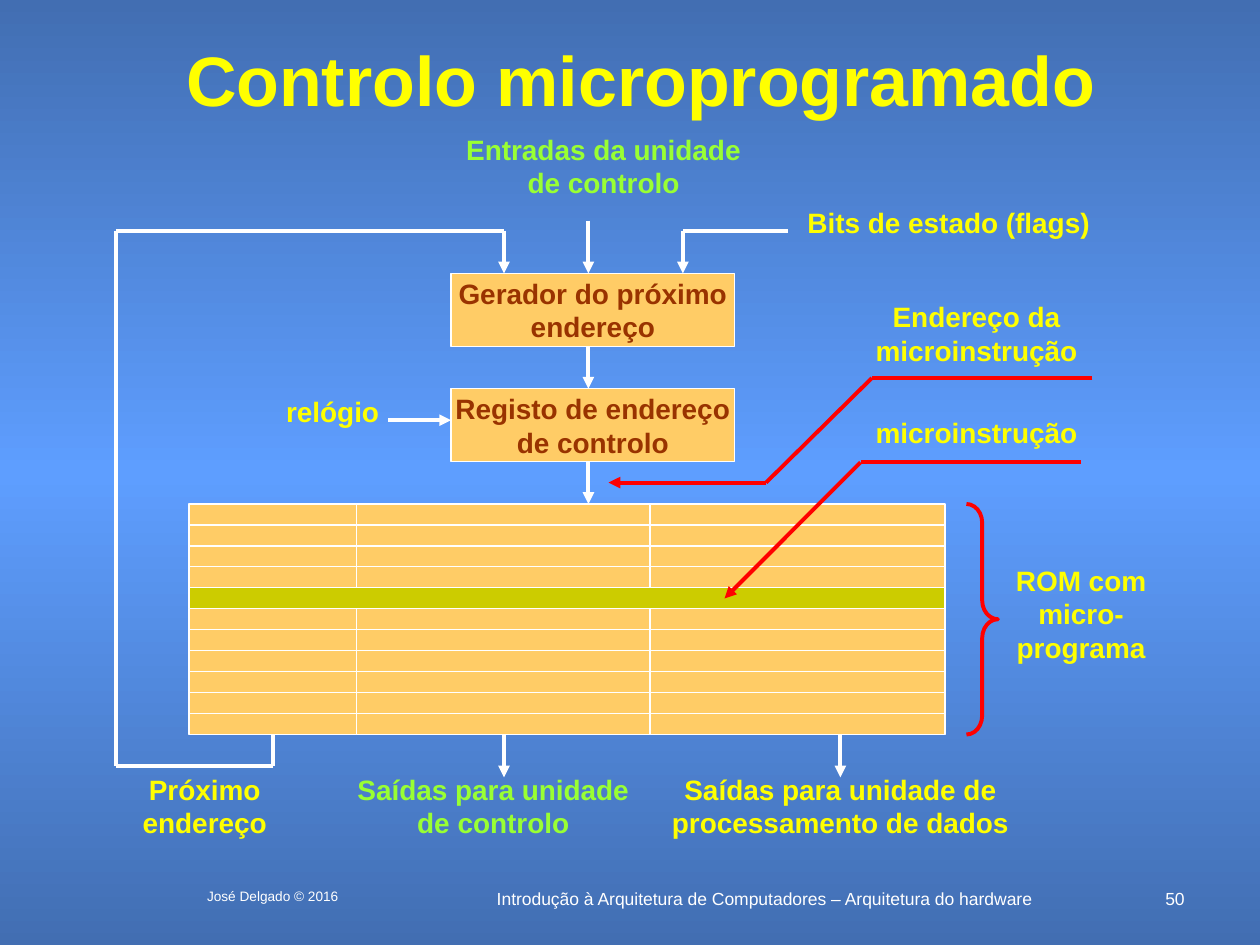
from copy import deepcopy
from dataclasses import dataclass

from lxml import etree
from pptx import Presentation
from pptx.dml.color import RGBColor
from pptx.enum import shapes, text
from pptx.oxml.ns import qn
from pptx.util import Inches, Pt


@dataclass(frozen=True)
class Theme:
    """Colours, type sizes and line widths of the slide."""
    font: str = "Arial"
    edge: str = "426EB2"
    glow: str = "5E9EFF"
    white: str = "FFFFFF"
    yellow: str = "FFFF00"
    green: str = "99FF33"
    brown: str = "993300"
    orange: str = "FFCC66"
    olive: str = "CCCC00"
    red: str = "FF0000"
    title: float = 40
    label: float = 16
    footer: float = 10
    credit: float = 7.8
    thin: float = 0.75
    thick: float = 2.25


T = Theme()
ALIGN = text.PP_ALIGN
ANCHOR = text.MSO_ANCHOR


def rgb(value):
    """Return a colour from its hex value."""
    return RGBColor.from_string(value)


def write(sp, lines, color, size=T.label, bold=True, align=ALIGN.CENTER,
          anchor=ANCHOR.TOP, wrap=True):
    """Write one paragraph per line into a shape."""
    tf = sp.text_frame
    frame = dict(word_wrap=wrap, vertical_anchor=anchor,
                 margin_left=Inches(0.1), margin_right=Inches(0.1),
                 margin_top=Inches(0.05), margin_bottom=Inches(0.05))
    for name, value in frame.items():
        setattr(tf, name, value)
    for i, line in enumerate(lines):
        p = tf.paragraphs[0] if i == 0 else tf.add_paragraph()
        p.alignment = align
        r = p.add_run()
        r.text = line
        for name, value in dict(name=T.font, size=Pt(size), bold=bold).items():
            setattr(r.font, name, value)
        r.font.color.rgb = rgb(color)


def label(s, box, *lines, color=T.yellow, **style):
    """Add a text box."""
    write(s.shapes.add_textbox(*map(Inches, box)), lines, color, **style)


def block(s, box, *lines, fill=T.orange):
    """Add a filled, outlined rectangle with optional text."""
    sp = s.shapes.add_shape(shapes.MSO_SHAPE.RECTANGLE, *map(Inches, box))
    sp.shadow.inherit = False
    sp.fill.solid()
    sp.fill.fore_color.rgb = rgb(fill)
    sp.line.color.rgb = rgb(T.white)
    sp.line.width = Pt(T.thin)
    if lines:
        write(sp, lines, T.brown, anchor=ANCHOR.MIDDLE, wrap=False)


def route(s, *points, color=T.white, width=T.thick, arrow=True):
    """Join points with straight lines, with an arrowhead at the last point."""
    for i, (a, b) in enumerate(zip(points, points[1:]), 2):
        c = s.shapes.add_connector(shapes.MSO_CONNECTOR.STRAIGHT,
                                   *map(Inches, (*a, *b)))
        c.line.color.rgb = rgb(color)
        c.line.width = Pt(width)
        if arrow and i == len(points):
            etree.SubElement(c.line._get_or_add_ln(), qn("a:tailEnd"), type="triangle")
        etree.SubElement(c._element.spPr, qn("a:effectLst"))


def background(s):
    """Fill the background with a vertical three-stop gradient."""
    fill = s.background.fill
    fill.gradient()
    fill.gradient_angle = 270
    stops = s.element.xpath(".//a:gsLst")[0]
    stops.insert(1, deepcopy(stops[0]))
    for stop, color, pos in zip(fill.gradient_stops, (T.edge, T.glow, T.edge), (0, 0.5, 1)):
        stop.color.rgb = rgb(color)
        stop.position = pos


def inputs(s, box):
    """Draw the control unit inputs and status bits above the generator."""
    x, y, w, h = box
    label(s, (x, y, 2.58, 0.64), "Entradas da unidade de controlo", color=T.green)
    label(s, (x + 2.81, y + 0.58, 2.44, 0.37), "Bits de estado (flags)", wrap=False)
    route(s, (x + 1.17, y + 0.75), (x + 1.17, y + h))
    route(s, (x + 2.75, y + 0.83), (x + 1.92, y + 0.83), (x + 1.92, y + h))


def sequencer(s, box):
    """Draw the address generator and the register with its clock."""
    x, y, w, h = box
    step, height, mid = h / 2, 0.58, x + 1.09
    names = (("Gerador do próximo", "endereço"), ("Registo de endereço", "de controlo"))
    for i, lines in enumerate(names):
        top = y + i * step
        block(s, (x, top, w, height), *lines)
        route(s, (mid, top + height), (mid, top + step))
    label(s, (x - 1.41, y + step, 0.94, 0.37), "relógio", wrap=False)
    route(s, (x - 0.5, y + step + 0.25), (x, y + step + 0.25))


def rom(s, box, rows=11, marked=4):
    """Draw the microprogram memory grid, its marked row and its brace."""
    x, y, w, h = box
    pitch, left = h / rows, x
    for width in (1.33, 2.33, 2.34):
        block(s, (left, y, width, h))
        left += width
    for i in range(1, rows):
        route(s, (x, y + i * pitch), (x + w, y + i * pitch), width=T.thin, arrow=False)
    block(s, (x, y + marked * pitch, w, pitch), fill=T.olive)
    brace = s.shapes.add_shape(shapes.MSO_SHAPE.RIGHT_BRACE,
                               *map(Inches, (x + w + 0.17, y, 0.25, h)))
    brace.shadow.inherit = False
    brace.fill.background()
    brace.line.color.rgb = rgb(T.red)
    brace.line.width = Pt(T.thick)
    brace.adjustments[0] = 0.6
    label(s, (x + w + 0.42, y + 0.42, 1.32, 0.9), "ROM com micro-", "programa")


def outputs(s, box):
    """Draw the three memory outputs and the next-address feedback path."""
    x, y, w, h = box
    fields = ((0, 1.25, "Próximo endereço", T.yellow),
              (1.58, 2.67, "Saídas para unidade de controlo", T.green),
              (3.92, 3.5, "Saídas para unidade de processamento de dados", T.yellow))
    for dx, width, words, color in fields:
        label(s, (x + dx, y + 0.25, width, 0.64), words, color=color)
    for dx in (3, 5.67):
        route(s, (x + dx, y), (x + dx, y + 0.34))
    side, low, high = x - 0.08, y + 0.25, y - 4
    route(s, (x + 1.17, y), (x + 1.17, low), (side, low), (side, high),
          (x + 3, high), (x + 3, high + 0.34))


def callouts(s, box):
    """Draw the red pointers to the microinstruction and its address."""
    x, y, w, h = box
    left = x + 2.02
    label(s, (left, y, 1.8, 0.64), "Endereço da", "microinstrução", wrap=False)
    label(s, (left, y + 0.92, 1.8, 0.37), "microinstrução", wrap=False)
    route(s, (x + w, y + 0.67), (x + 2.09, y + 0.67), (x + 1.25, y + 1.5),
          (x, y + 1.5), color=T.red)
    route(s, (x + 3.75, y + 1.34), (x + 2, y + 1.34), (x + 0.92, y + h), color=T.red)


def footer(s, box):
    """Write the credit, course name and slide number."""
    x, y, w, h = box
    style = dict(color=T.white, bold=False)
    label(s, (x, y, 1.67, h), "José Delgado © 2016", size=T.credit, **style)
    label(s, (x + 2, y, 5.47, h),
          "Introdução à Arquitetura de Computadores – Arquitetura do hardware",
          size=T.footer, **style)
    label(s, (x + w - 0.42, y, 0.42, h), "50", size=T.footer, align=ALIGN.RIGHT, **style)


def main():
    """Build the slide and save it."""
    prs = Presentation()
    prs.slide_width, prs.slide_height = Inches(10), Inches(7.5)
    s = prs.slides.add_slide(prs.slide_layouts[6])
    background(s)
    label(s, (0.75, 0.25, 8.67, 0.75), "Controlo microprogramado",
          size=T.title, anchor=ANCHOR.MIDDLE)
    inputs(s, (3.5, 1, 5.25, 1.17))
    sequencer(s, (3.58, 2.17, 2.25, 1.83))
    rom(s, (1.5, 4, 6, 1.83))
    outputs(s, (1, 5.83, 7.42, 0.89))
    callouts(s, (4.83, 2.33, 3.84, 2.42))
    footer(s, (1.33, 7, 8.17, 0.25))
    prs.save("out.pptx")


if __name__ == "__main__":
    main()
